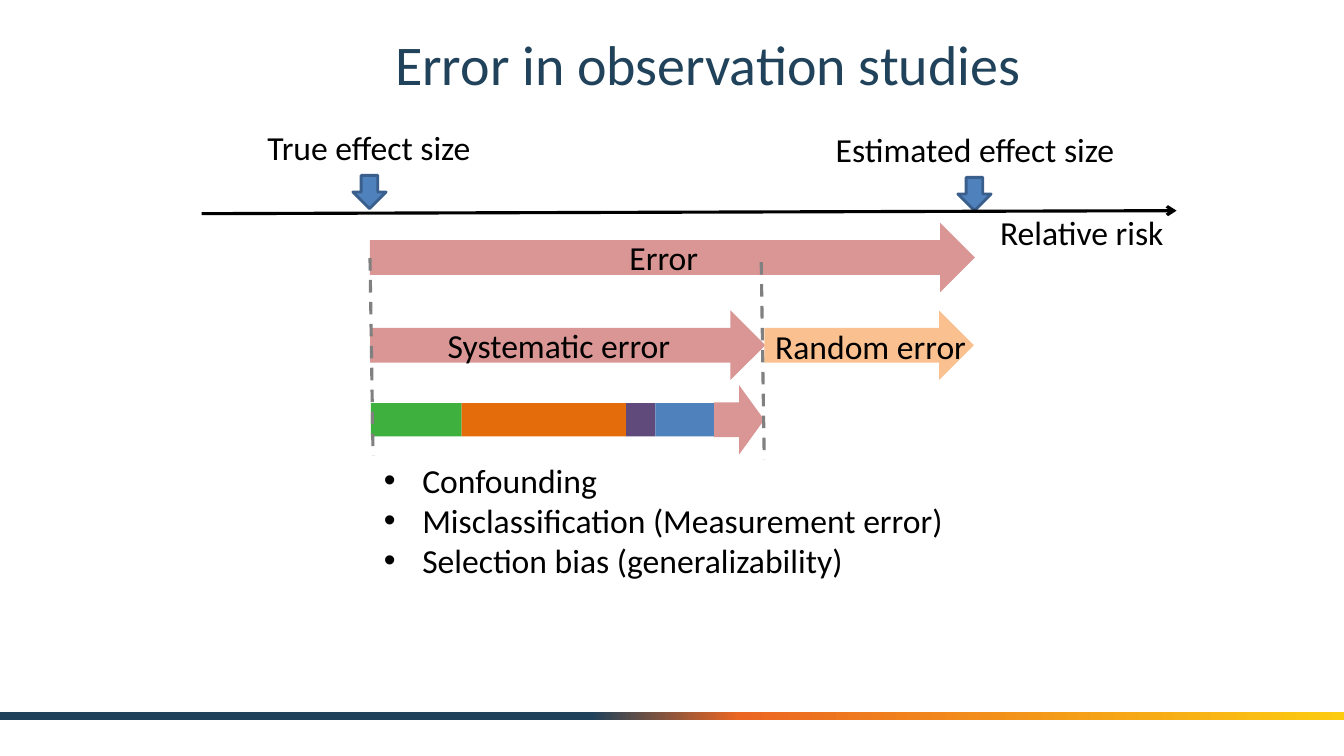
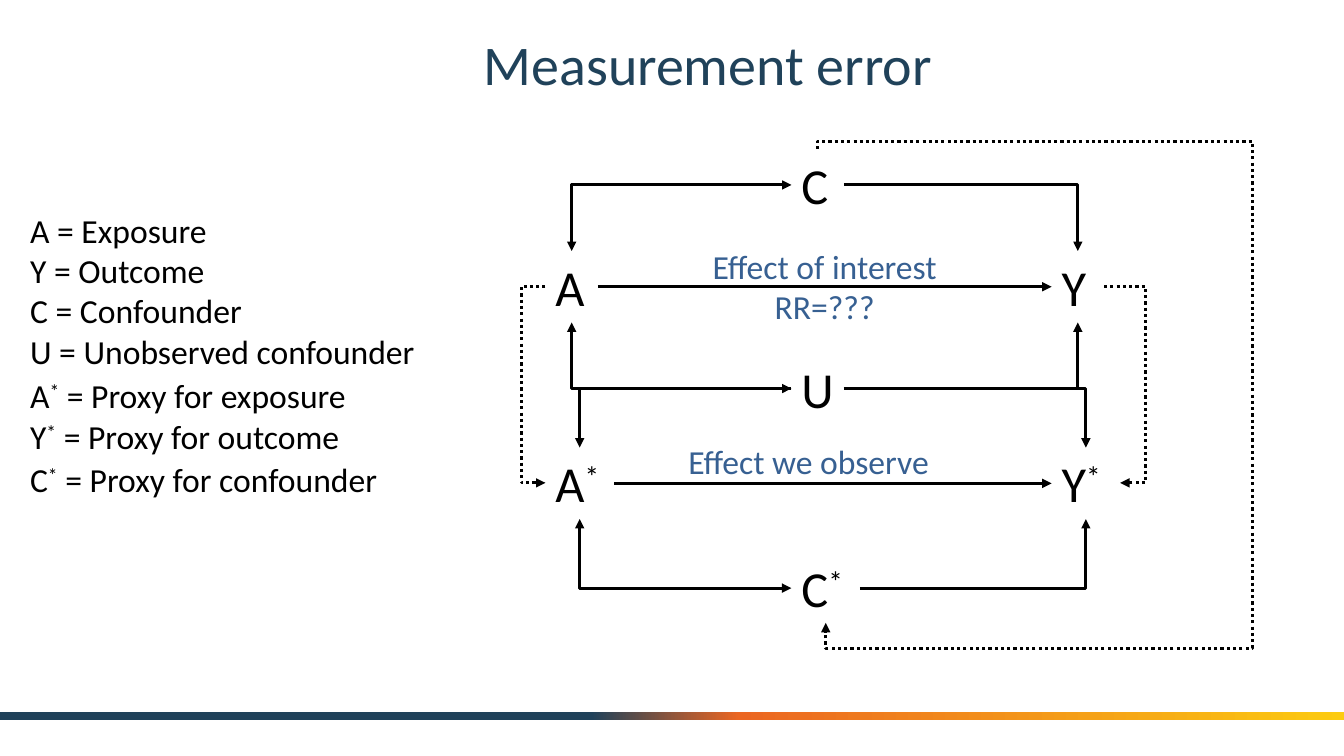
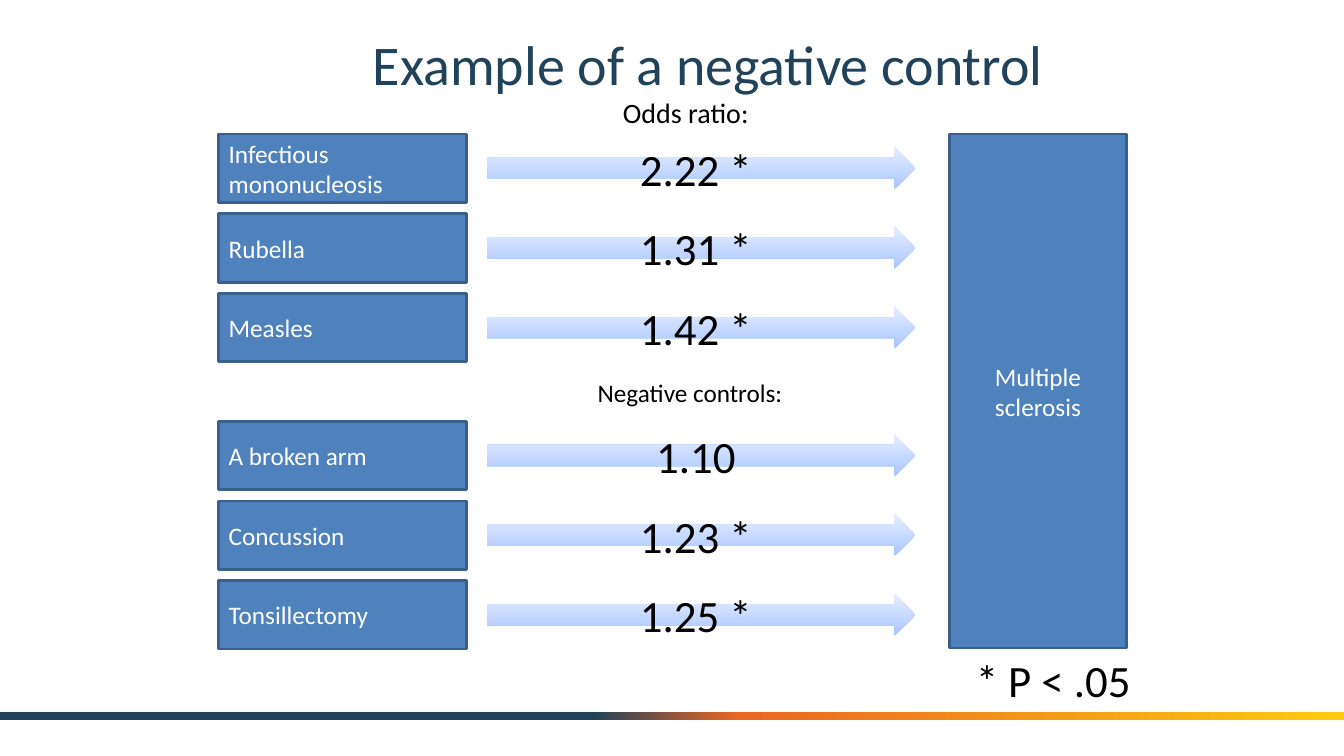
from copy import deepcopy

from lxml.etree import SubElement
from pptx import Presentation
from pptx.dml.color import RGBColor
from pptx.enum.dml import MSO_LINE as DASH
from pptx.enum.shapes import MSO_CONNECTOR as LINK, MSO_SHAPE as SHAPE
from pptx.enum.text import MSO_ANCHOR as ANCHOR, PP_ALIGN as ALIGN
from pptx.oxml.ns import qn
from pptx.util import Pt

PX = 9144
WIDTH, HEIGHT = 1333, 750
FONT = "Calibri"
NAVY = RGBColor(0x20, 0x42, 0x5A)
FLAME = RGBColor(0xEB, 0x66, 0x22)
YELLOW = RGBColor(0xFC, 0xCB, 0x10)
BLACK = RGBColor(0, 0, 0)
WHITE = RGBColor(0xFF, 0xFF, 0xFF)
GREY = RGBColor(0x80, 0x80, 0x80)
BLUE = RGBColor(0x4F, 0x81, 0xBD)
EDGE_BLUE = RGBColor(0x3A, 0x5F, 0x8C)
TEXT_BLUE = RGBColor(0x37, 0x60, 0x92)
ROSE = RGBColor(0xD9, 0x96, 0x94)
PEACH = RGBColor(0xFA, 0xC0, 0x90)
PURPLE = RGBColor(0x60, 0x4A, 0x7B)
ORANGE = RGBColor(0xE4, 0x6C, 0x0A)
GREEN = RGBColor(0x3E, 0xB0, 0x3E)
BAND = [(0.44, NAVY), (0.55, FLAME), (1, YELLOW)]
PALE_BLUE = [(0, RGBColor(0xA4, 0xC4, 0xFF)), (0.35, RGBColor(0xBF, 0xD4, 0xFF)),
             (1, RGBColor(0xE6, 0xEE, 0xFF))]
TOP, LEFT, BOTTOM, RIGHT = range(4)


def emu(*lengths):
    """Turn px lengths into EMU."""
    return [n * PX for n in lengths]


def write(sp, text, size, color=BLACK, align=ALIGN.LEFT, anchor=ANCHOR.TOP, wrap=True, bullet=False):
    """Fill a shape with one paragraph a line; parts between carets are raised."""
    tf = sp.text_frame
    for key, value in {"word_wrap": wrap, "vertical_anchor": anchor}.items():
        setattr(tf, key, value)
    for i, line in enumerate(text.split("\n")):
        p = tf.paragraphs[0] if i == 0 else tf.add_paragraph()
        p.alignment = align
        if bullet:
            pPr = p._p.get_or_add_pPr()
            pPr.set("marL", str(38 * PX))
            pPr.set("indent", str(-38 * PX))
            SubElement(pPr, qn("a:buFont"), typeface="Arial")
            SubElement(pPr, qn("a:buChar"), char="•")
        for j, part in enumerate(line.split("^")):
            if not part:
                continue
            r = p.add_run()
            r.text = part
            for key, value in {"name": FONT, "size": Pt(size)}.items():
                setattr(r.font, key, value)
            r.font.color.rgb = color
            if j % 2:
                r._r.get_or_add_rPr().set("baseline", "30000")


def label(s, box, text, size=24, **fmt):
    """Add a text box."""
    sp = s.shapes.add_textbox(*emu(*box))
    write(sp, text, size, **fmt)
    return sp


def gradient(sp, stops, angle):
    """Fill a shape with three colour stops."""
    sp.fill.gradient()
    sp.fill.gradient_angle = angle
    gs_list = sp._element.spPr.find(".//" + qn("a:gsLst"))
    gs_list.append(deepcopy(gs_list[-1]))
    for stop, (position, color) in zip(sp.fill.gradient_stops, stops):
        stop.position = position
        stop.color.rgb = color


def shape(s, kind, box, fill, angle=0, edge=None):
    """Add a preset shape with a plain or gradient fill."""
    sp = s.shapes.add_shape(kind, *emu(*box))
    sp.shadow.inherit = False
    if isinstance(fill, list):
        gradient(sp, fill, angle)
    else:
        sp.fill.solid()
        sp.fill.fore_color.rgb = fill
    if edge is None:
        sp.line.fill.background()
    else:
        sp.line.color.rgb = edge
        sp.line.width = Pt(2)
    return sp


def stroke(sp, color=BLACK, dash=None, head=None, tail=None):
    """Style a line and its arrowheads."""
    sp.line.color.rgb = color
    sp.line.width = Pt(2.25)
    if dash:
        sp.line.dash_style = dash
    for tag, kind in {"a:headEnd": head, "a:tailEnd": tail}.items():
        if kind:
            SubElement(sp.line._get_or_add_ln(), qn(tag), type=kind)


def connector(s, kind, ends=(0, 0, 0, 0)):
    """Add a connector without a shadow."""
    c = s.shapes.add_connector(kind, *emu(*ends))
    return c


def flatten(c):
    """Switch off the shadow of a connector."""
    SubElement(c._element.spPr, qn("a:effectLst"))


def line(s, ends, **fmt):
    """Draw a straight line between two points."""
    c = connector(s, LINK.STRAIGHT, ends)
    stroke(c, **fmt)
    flatten(c)


def link(s, start, start_site, end, end_site, bent=True, head=None):
    """Join two labels with an arrow that is straight or has one corner."""
    c = connector(s, LINK.ELBOW if bent else LINK.STRAIGHT)
    c.begin_connect(start, start_site)
    c.end_connect(end, end_site)
    if bent:
        c._element.spPr.find(qn("a:prstGeom")).set("prst", "bentConnector2")
    stroke(c, head=head, tail="triangle")
    flatten(c)


def dotted_route(s, start, *points):
    """Draw a dotted arrow through several corners."""
    builder = s.shapes.build_freeform(*start, scale=PX)
    builder.add_line_segments(points, close=False)
    sp = builder.convert_to_shape()
    sp.shadow.inherit = False
    sp.fill.background()
    stroke(sp, dash=DASH.ROUND_DOT, tail="triangle")


def new_slide(prs, title):
    """Add a slide with the shared band and title."""
    s = prs.slides.add_slide(prs.slide_layouts[6])
    shape(s, SHAPE.RECTANGLE, (0, 706, WIDTH, 8), BAND)
    label(s, (137, 17, 1130, 92), title, 40, color=NAVY, align=ALIGN.CENTER, anchor=ANCHOR.MIDDLE)
    return s


def error_slide(prs):
    """Split the error of an estimate into its parts."""
    s = new_slide(prs, "Error in observation studies")
    middle = {"align": ALIGN.CENTER, "anchor": ANCHOR.MIDDLE}
    for x, y, box, text in [(350, 174, (254, 121, 224, 50), "True effect size"),
                            (950, 176, (817, 123, 300, 50), "Estimated effect size")]:
        shape(s, SHAPE.DOWN_ARROW, (x, y, 33, 33), BLUE, edge=EDGE_BLUE)
        label(s, box, text, align=ALIGN.CENTER, wrap=False)
    line(s, (200, 212, 1167, 209), tail="arrow")
    label(s, (982, 205, 184, 50), "Relative risk", wrap=False)

    for x, y, w, fill, text in [(367, 221, 600, ROSE, "Error"),
                                (367, 308, 392, ROSE, "Systematic error"),
                                (758, 308, 208, PEACH, ""),
                                (708, 382, 50, ROSE, "")]:
        sp = shape(s, SHAPE.RIGHT_ARROW, (x, y, w, 69), fill)
        if text:
            write(sp, text, 24, **middle)
    label(s, (758, 318, 211, 50), "Random error", align=ALIGN.CENTER, wrap=False)

    x = 368
    for w, fill in [(90, GREEN), (163, ORANGE), (29, PURPLE), (58, BLUE)]:
        shape(s, SHAPE.RECTANGLE, (x, 400, w, 33), fill)
        x += w
    label(s, (371, 451, 579, 131),
          "Confounding\nMisclassification (Measurement error)\nSelection bias (generalizability)",
          wrap=False, bullet=True)
    for x, y in [(367, 256), (755, 260)]:
        line(s, (x, y, x + 3, y + 196), color=GREY, dash=DASH.DASH)


def measurement_slide(prs):
    """Draw the causal graph of true variables and their proxies."""
    s = new_slide(prs, "Measurement error")
    places = {"A": (541, 249), "Y": (1043, 249), "C": (785, 148), "U": (785, 350),
              "A^*": (541, 444), "Y^*": (1043, 444), "C^*": (785, 548)}
    nodes = {name: label(s, (x, y, 68 if "^" in name else 52, 71), name, 36)
             for name, (x, y) in places.items()}

    for source, mark, site, both in [("C", "", TOP, True), ("U", "", BOTTOM, True),
                                     ("U", "^*", TOP, False), ("C^*", "^*", BOTTOM, True)]:
        link(s, nodes[source], LEFT, nodes["A" + mark], site, head="triangle" if both else None)
        link(s, nodes[source], RIGHT, nodes["Y" + mark], site)
    for mark in ("", "^*"):
        link(s, nodes["A" + mark], RIGHT, nodes["Y" + mark], LEFT, bent=False)

    dotted_route(s, (541, 284), (517, 284), (517, 479), (541, 479))
    dotted_route(s, (1095, 284), (1136, 284), (1136, 479), (1111, 479))
    dotted_route(s, (811, 148), (811, 140), (1242, 140), (1242, 643), (819, 643), (819, 618))

    effect = {"color": TEXT_BLUE, "align": ALIGN.CENTER}
    label(s, (680, 239, 276, 91), "Effect of interest\nRR=???", **effect)
    label(s, (664, 433, 276, 50), "Effect we observe", **effect)
    for y, w, h, text in [
            (203, 405, 172, "A = Exposure\nY = Outcome\nC = Confounder\nU = Unobserved confounder"),
            (367, 338, 50, "A^*^ = Proxy for exposure"),
            (408, 331, 50, "Y^*^ = Proxy for outcome"),
            (450, 369, 50, "C^*^ = Proxy for confounder")]:
        label(s, (20, y, w, h), text, wrap=False)


def control_slide(prs):
    """Compare odds ratios of exposures and negative controls."""
    s = new_slide(prs, "Example of a negative control")
    box_style = {"size": 18, "color": WHITE, "anchor": ANCHOR.MIDDLE}
    groups = {133: [("Infectious\nmononucleosis", "2.22 *"), ("Rubella", "1.31 *"), ("Measles", "1.42 *")],
              418: [("A broken arm", "1.10"), ("Concussion", "1.23 *"), ("Tonsillectomy", "1.25 *")]}
    for top, rows in groups.items():
        for i, (exposure, ratio) in enumerate(rows):
            y = top + 79 * i
            sp = shape(s, SHAPE.RECTANGLE, (217, y, 246, 68), BLUE, edge=EDGE_BLUE)
            write(sp, exposure, **box_style)
            sp = shape(s, SHAPE.RIGHT_ARROW, (483, y + 13, 425, 42), PALE_BLUE, angle=90)
            write(sp, ratio, 32, align=ALIGN.CENTER, anchor=ANCHOR.MIDDLE)
    sp = shape(s, SHAPE.RECTANGLE, (942, 133, 175, 510), BLUE, edge=EDGE_BLUE)
    write(sp, "Multiple sclerosis", align=ALIGN.CENTER, **box_style)
    for box, text, size in [((608, 90, 146, 44), "Odds ratio:", 20),
                            ((583, 369, 206, 40), "Negative controls:", 18),
                            ((958, 643, 176, 64), "* P < .05", 32)]:
        label(s, box, text, size, wrap=False)


def main():
    """Build and save the presentation."""
    prs = Presentation()
    prs.slide_width, prs.slide_height = emu(WIDTH, HEIGHT)
    for build in (error_slide, measurement_slide, control_slide):
        build(prs)
    prs.save("out.pptx")


if __name__ == "__main__":
    main()
